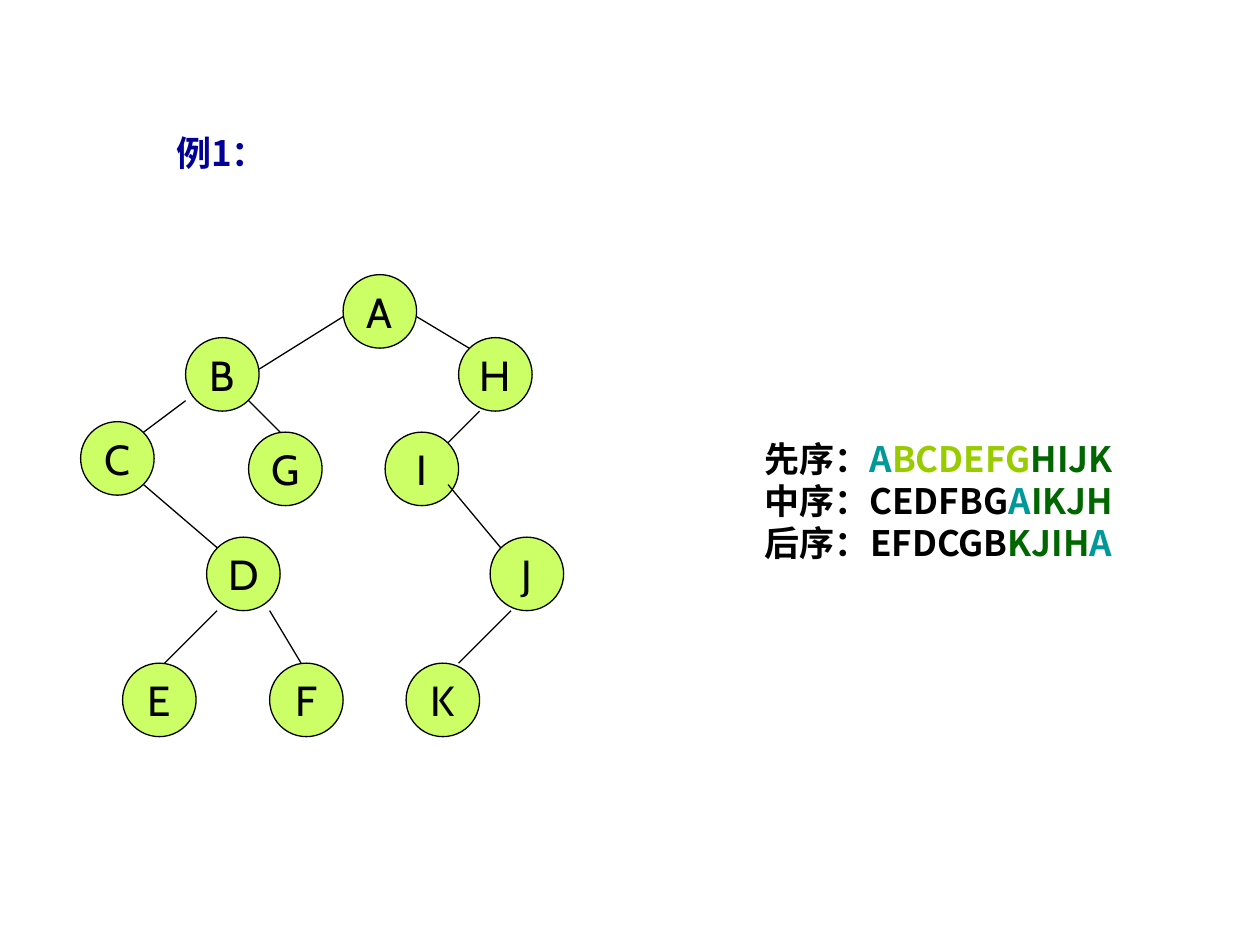
from lxml.etree import SubElement
from pptx import Presentation
from pptx.dml.color import RGBColor
from pptx.enum.shapes import MSO_CONNECTOR, MSO_SHAPE
from pptx.enum.text import MSO_ANCHOR, PP_ALIGN
from pptx.oxml.ns import qn
from pptx.util import Inches, Pt

BLACK = RGBColor(0x00, 0x00, 0x00)
NAVY = RGBColor(0x00, 0x00, 0x99)
LIME = RGBColor(0xCC, 0xFF, 0x66)
TEAL = RGBColor(0x00, 0x99, 0x99)
OLIVE = RGBColor(0x99, 0xCC, 0x00)
GREEN = RGBColor(0x00, 0x66, 0x00)

WIDTH, HEIGHT = Inches(10), Inches(7.5)
LEFT, TOP = Inches(0.64), Inches(2.18)
UNIT = Inches(1) / 12
DIAMETER = 7

NODE_FONT = {"name": "Cabin", "size": Pt(24)}
BOLD_FONT = {"name": "Noto Sans CJK SC", "size": Pt(20), "bold": True}
FRAME = {"vertical_anchor": MSO_ANCHOR.MIDDLE, "word_wrap": False}

NODES = {
    "A": (25, 0), "B": (10, 6), "H": (36, 6), "C": (0, 14),
    "G": (16, 15), "I": (29, 15), "D": (12, 25), "J": (39, 25),
    "E": (4, 37), "F": (18, 37), "K": (31, 37),
}
EDGES = [
    (25, 4, 17, 9), (32, 4, 37, 7), (10, 12, 6, 15), (16, 12, 19, 15),
    (38, 13, 35, 16), (6, 20, 13, 26), (35, 20, 40, 26),
    (13, 32, 8, 37), (18, 32, 21, 37), (41, 32, 36, 37),
]
TITLE = [[("例1：", NAVY)]]
ORDERS = [
    [("先序：", BLACK), ("A", TEAL), ("BCDEFG", OLIVE), ("HIJK", GREEN)],
    [("中序：CEDFBG", BLACK), ("A", TEAL), ("IKJH", GREEN)],
    [("后序：EFDCGB", BLACK), ("KJIH", GREEN), ("A", TEAL)],
]


def apply(target, values):
    for name, value in values.items():
        setattr(target, name, value)


def grid_point(col, row):
    return round(LEFT + col * UNIT), round(TOP + row * UNIT)


def write(tf, lines, font, **paragraph_format):
    apply(tf, FRAME)
    for i, line in enumerate(lines):
        p = tf.add_paragraph() if i else tf.paragraphs[0]
        apply(p, paragraph_format)
        for text, color in line:
            r = p.add_run()
            r.text = text
            apply(r.font, font)
            r.font.color.rgb = color
            ea = SubElement(r.font._element, qn("a:ea"))
            ea.set("typeface", font["name"])


def add_text(s, x, y, w, h, lines, **paragraph_format):
    box = s.shapes.add_textbox(
        round(x * WIDTH), round(y * HEIGHT), round(w * WIDTH), round(h * HEIGHT))
    write(box.text_frame, lines, BOLD_FONT, **paragraph_format)


def add_node(tree, label, col, row):
    size = round(DIAMETER * UNIT)
    sp = tree.shapes.add_shape(MSO_SHAPE.OVAL, *grid_point(col, row), size, size)
    sp.shadow.inherit = False
    sp.fill.solid()
    sp.fill.fore_color.rgb = LIME
    sp.line.color.rgb = BLACK
    sp.line.width = Pt(0.75)
    write(sp.text_frame, [[(label, BLACK)]], NODE_FONT, alignment=PP_ALIGN.CENTER)


def add_edge(tree, col1, row1, col2, row2):
    line = tree.shapes.add_connector(
        MSO_CONNECTOR.STRAIGHT, *grid_point(col1, row1), *grid_point(col2, row2))
    line.line.color.rgb = BLACK
    line.line.width = Pt(0.75)
    SubElement(line._element.spPr, qn("a:effectLst"))


def add_tree(s):
    tree = s.shapes.add_group_shape()
    for label, cell in NODES.items():
        add_node(tree, label, *cell)
    for edge in EDGES:
        add_edge(tree, *edge)


def main():
    prs = Presentation()
    apply(prs, {"slide_width": WIDTH, "slide_height": HEIGHT})
    s = prs.slides.add_slide(prs.slide_layouts[6])
    add_text(s, 0.13, 0.12, 0.55, 0.07, TITLE,
             alignment=PP_ALIGN.LEFT, line_spacing=1.3)
    add_tree(s)
    add_text(s, 0.51, 0.37, 0.47, 0.32, ORDERS, alignment=PP_ALIGN.CENTER)
    prs.save("out.pptx")


if __name__ == "__main__":
    main()
